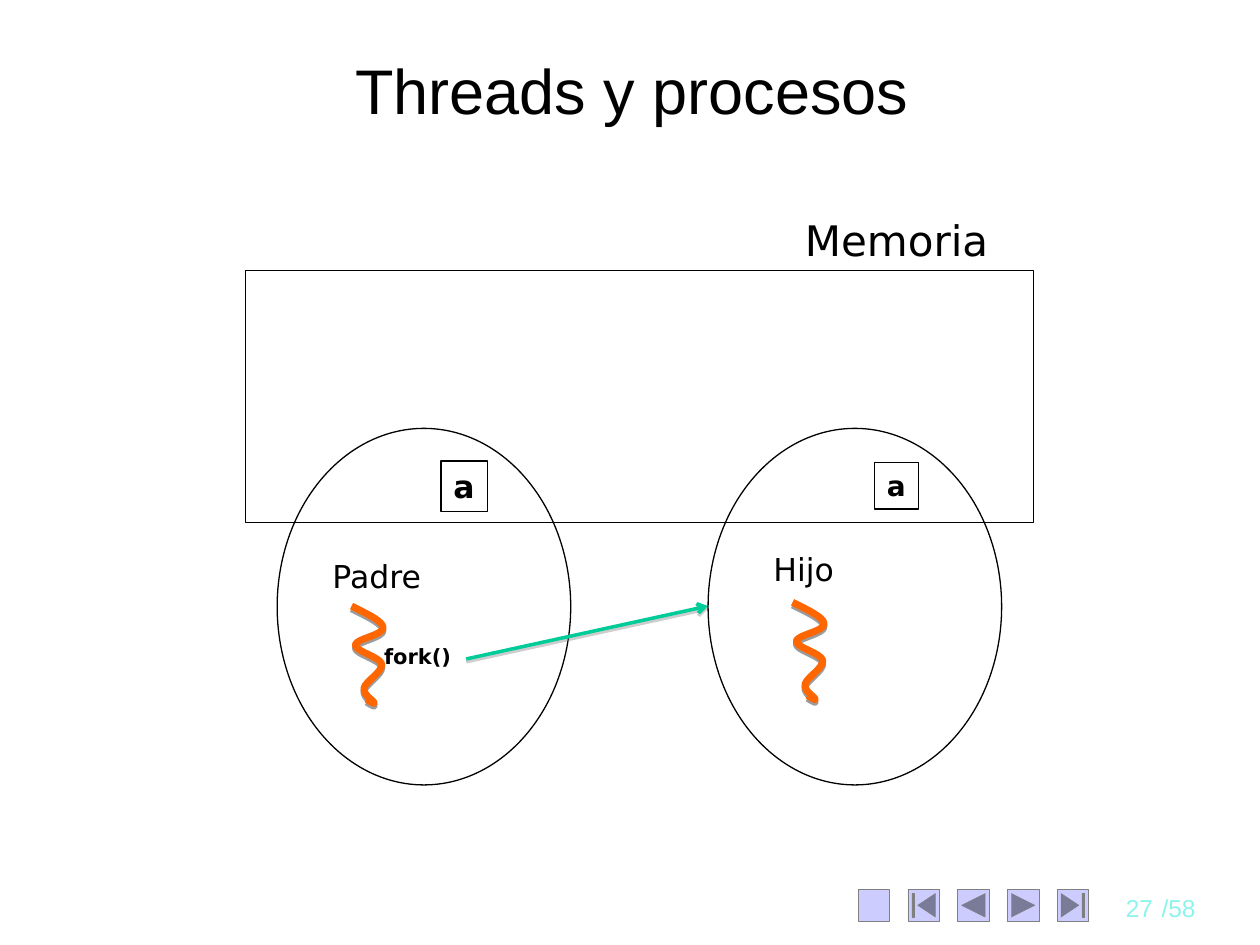
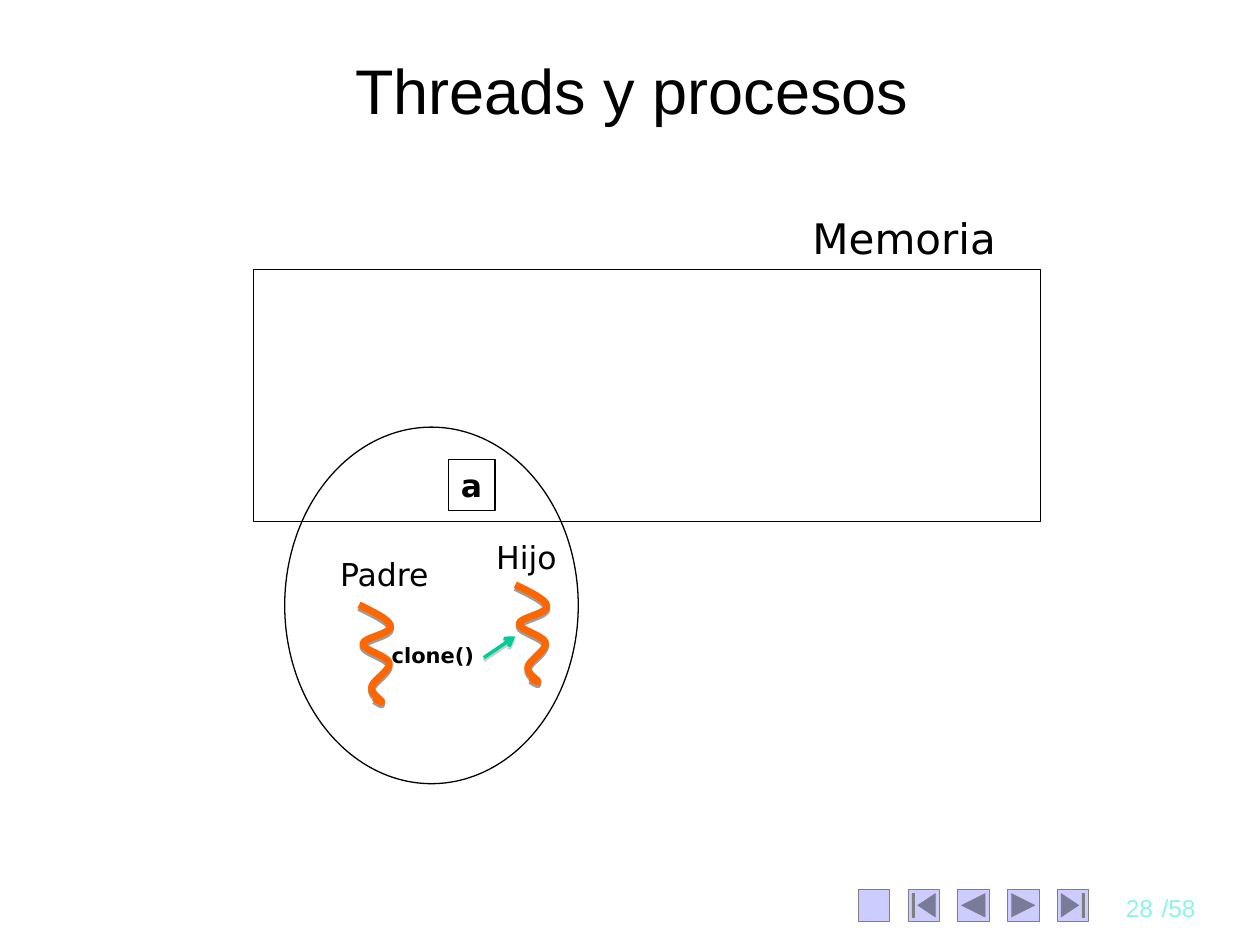
"""Build two slides that compare processes and threads in memory."""
from lxml.etree import SubElement
from pptx import Presentation
from pptx.dml.color import RGBColor
from pptx.enum.shapes import MSO_CONNECTOR, MSO_SHAPE
from pptx.enum.text import MSO_ANCHOR, MSO_AUTO_SIZE, PP_ALIGN
from pptx.oxml.ns import qn
from pptx.util import Inches, Pt

COLORS = {
    "text": "000000",
    "page": "FFFFFF",
    "thread": "FF6600",
    "arrow": "00CC99",
    "arrow_shadow": "808080",
    "button": "CCCCFF",
    "button_line": "808080",
    "number": "8CF4EA",
}
TITLE_FONT = "Arial"
LABEL_FONT = "DejaVu Sans"
SLIDE_COUNT = 58
BUTTONS = [
    MSO_SHAPE.ACTION_BUTTON_CUSTOM,
    MSO_SHAPE.ACTION_BUTTON_BEGINNING,
    MSO_SHAPE.ACTION_BUTTON_BACK_OR_PREVIOUS,
    MSO_SHAPE.ACTION_BUTTON_FORWARD_OR_NEXT,
    MSO_SHAPE.ACTION_BUTTON_END,
]
THREAD_CURVE = [
    (12, 6), (25, 12), (25, 17),
    (26, 23), (3, 26), (3, 31),
    (3, 36), (22, 40), (24, 46),
    (25, 52), (11, 60), (10, 65),
    (9, 71), (18, 75), (18, 77),
    (19, 78), (15, 76), (12, 74),
]


def color(name):
    """Return the named colour."""
    return RGBColor.from_string(COLORS[name])


def write(shape, text, size, font=LABEL_FONT, ink="text", bold=False, align=PP_ALIGN.LEFT):
    """Write one unwrapped paragraph into a shape that fits its text."""
    frame = shape.text_frame
    frame.word_wrap = False
    frame.auto_size = MSO_AUTO_SIZE.SHAPE_TO_FIT_TEXT
    frame.vertical_anchor = MSO_ANCHOR.TOP
    para = frame.paragraphs[0]
    para.text = text
    para.alignment = align
    para.font.size = Pt(size)
    para.font.name = font
    para.font.bold = bold
    para.font.color.rgb = color(ink)
    return frame


def add_label(page, text, left, top, width, height, size, **style):
    """Add a text box with one line of text."""
    box = page.shapes.add_textbox(Inches(left), Inches(top), Inches(width), Inches(height))
    return write(box, text, size, **style)


def add_outline(page, kind, left, top, width, height, fill=None, line="text", weight=0.75):
    """Add an outlined preset shape with an optional fill."""
    shape = page.shapes.add_shape(kind, Inches(left), Inches(top), Inches(width), Inches(height))
    shape.shadow.inherit = False
    if fill:
        shape.fill.solid()
        shape.fill.fore_color.rgb = color(fill)
    else:
        shape.fill.background()
    shape.line.color.rgb = color(line)
    shape.line.width = Pt(weight)
    return shape


def add_shadow(shape, ink):
    """Give a line a short soft shadow below it."""
    effects = SubElement(shape._element.spPr, qn("a:effectLst"))
    shadow = SubElement(effects, qn("a:outerShdw"), blurRad="0", dist=str(Pt(1.6)), dir="5400000")
    tint = SubElement(shadow, qn("a:srgbClr"), val=COLORS[ink])
    SubElement(tint, qn("a:alpha"), val="38000")


def add_process(page, left, top):
    """Add the ellipse of a process."""
    add_outline(page, MSO_SHAPE.OVAL, left, top, 2.33, 2.83, fill="page")


def add_variable(page, left, top, width, height, size):
    """Add the square of variable a."""
    square = add_outline(page, MSO_SHAPE.RECTANGLE, left, top, width, height)
    write(square, "a", size, bold=True)


def add_thread(page, name, left, top, label_top, label_width):
    """Add a wavy thread with its name above it."""
    builder = page.shapes.build_freeform(0, 0, scale=Inches(0.01))
    builder.add_line_segments(THREAD_CURVE, close=False)
    wave = builder.convert_to_shape(Inches(left), Inches(top))
    segments = list(wave._element.iter(qn("a:lnTo")))
    outline = segments[0].getparent()
    for start in range(0, len(segments), 3):
        curve = SubElement(outline, qn("a:cubicBezTo"))
        for segment in segments[start:start + 3]:
            curve.append(segment[0])
            outline.remove(segment)
    wave.fill.background()
    wave.line.color.rgb = color("thread")
    wave.line.width = Pt(4)
    add_shadow(wave, "text")
    add_label(page, name, left - 0.25, label_top, label_width, 0.4, 18)


def add_arrow(page, start, end):
    """Add the arrow from a call to what it creates."""
    arrow = page.shapes.add_connector(MSO_CONNECTOR.STRAIGHT, *map(Inches, start + end))
    arrow.line.color.rgb = color("arrow")
    arrow.line.width = Pt(2)
    SubElement(arrow.line._get_or_add_ln(), qn("a:tailEnd"), type="arrow")
    add_shadow(arrow, "arrow_shadow")


def add_parent(page, left, top, call, call_width):
    """Add the parent process with its variable, thread and system call."""
    add_process(page, left, top)
    add_variable(page, left + 1.3, top + 0.26, 0.37, 0.4, 18)
    add_label(page, call, left + 0.75, top + 1.66, call_width, 0.3, 12, bold=True)
    add_thread(page, "Padre", left + 0.59, top + 1.41, top + 0.97, 0.92)


def add_memory(page, left, top):
    """Add the memory block and its label."""
    add_label(page, "Memoria", left + 4.34, top - 0.5, 1.66, 0.51, 24)
    add_outline(page, MSO_SHAPE.RECTANGLE, left, top, 6.25, 2)


def add_page(deck, number):
    """Add a slide with the shared title, buttons and page number."""
    page = deck.slides.add_slide(deck.slide_layouts[6])
    for index, kind in enumerate(BUTTONS):
        add_outline(page, kind, 6.81 + index * 1.58 / 4, 7.06, 0.25, 0.25,
                    fill="button", line="button_line", weight=0.25)
    footer = {"font": TITLE_FONT, "ink": "number"}
    for frame in (
        add_label(page, str(number), 8.71, 7.04, 0.54, 0.33, 14, align=PP_ALIGN.RIGHT, **footer),
        add_label(page, f"/{SLIDE_COUNT}", 9.12, 7.04, 0.52, 0.33, 14, **footer),
    ):
        frame.word_wrap = True
    title = add_label(page, "Threads y procesos", 0.39, 0.36, 9.25, 0.7, 36,
                      font=TITLE_FONT, align=PP_ALIGN.CENTER)
    title.word_wrap = True
    title.auto_size = MSO_AUTO_SIZE.NONE
    title.vertical_anchor = MSO_ANCHOR.MIDDLE
    return page


def add_fork_page(deck):
    """Show a fork that copies the process."""
    page = add_page(deck, 27)
    add_parent(page, 2.2, 3.4, "fork()", 0.77)
    add_arrow(page, (3.7, 5.23), (5.62, 4.81))
    add_process(page, 5.62, 3.4)
    add_variable(page, 6.94, 3.67, 0.35, 0.37, 16)
    add_thread(page, "Hijo", 6.29, 4.78, 4.32, 0.7)
    add_memory(page, 1.95, 2.15)


def add_clone_page(deck):
    """Show a clone that adds a thread to the same process."""
    page = add_page(deck, 28)
    add_parent(page, 2.26, 3.39, "clone()", 0.89)
    add_arrow(page, (3.84, 5.22), (4.09, 5.05))
    add_thread(page, "Hijo", 4.09, 4.64, 4.22, 0.7)
    add_memory(page, 2.01, 2.14)


def main():
    """Build and save the deck."""
    deck = Presentation()
    deck.slide_width = Inches(10)
    deck.slide_height = Inches(7.5)
    add_fork_page(deck)
    add_clone_page(deck)
    deck.save("out.pptx")


if __name__ == "__main__":
    main()
